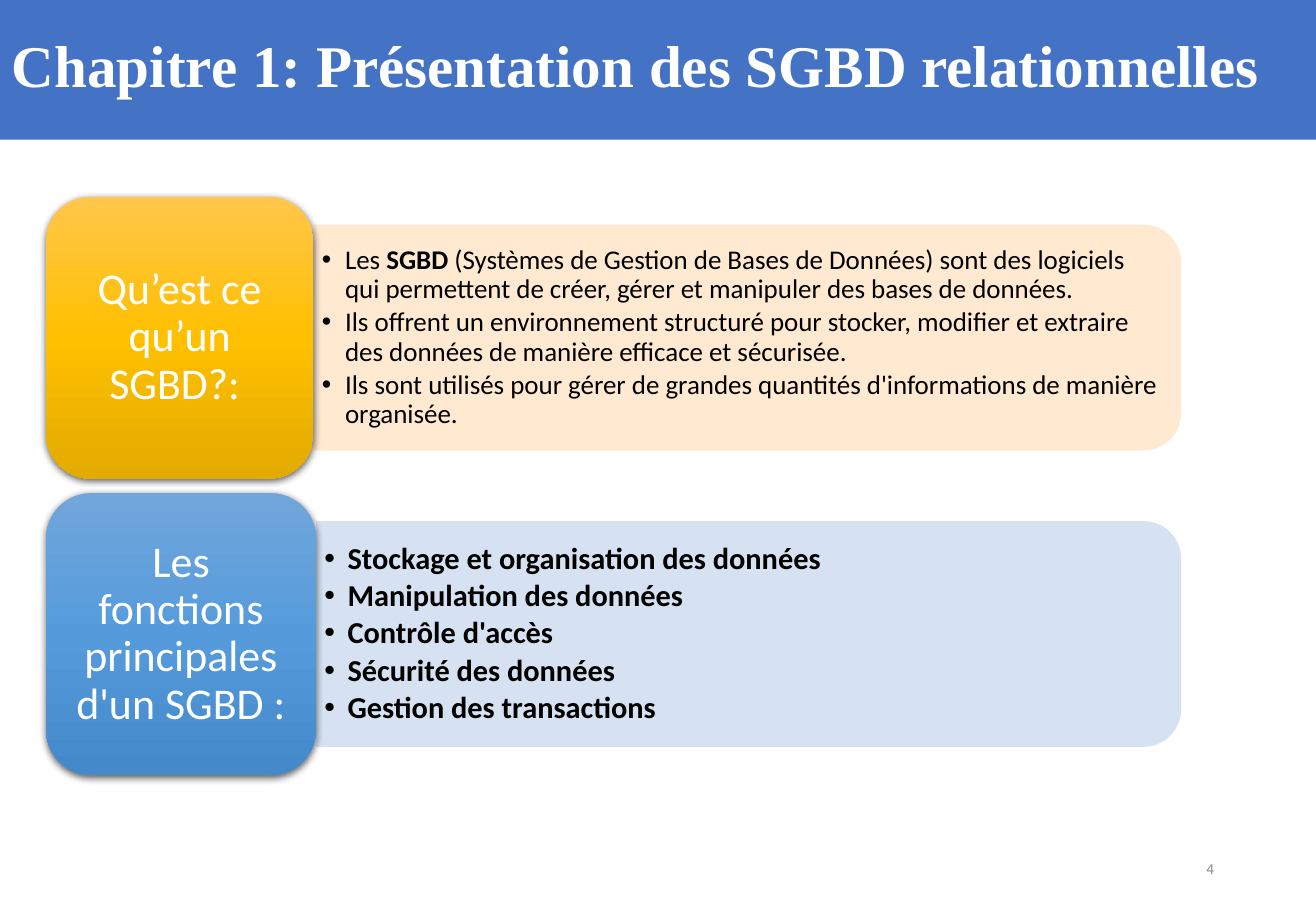
from dataclasses import dataclass

from lxml.etree import SubElement
from pptx import Presentation
from pptx.dml.color import RGBColor
from pptx.enum.shapes import MSO_SHAPE as Shape
from pptx.enum.text import MSO_ANCHOR as Anchor, PP_ALIGN as Align
from pptx.oxml.ns import qn
from pptx.util import Inches, Pt


@dataclass(frozen=True)
class Theme:
    band: str = "4472C4"
    white: str = "FFFFFF"
    black: str = "000000"
    grey: str = "898989"
    gold: tuple = ("FFC64B", "FFC000", "E3AB00")
    blue: tuple = ("71A6DB", "559BDB", "448ACA")
    cream: str = "FFE8CC"
    pale_blue: str = "D2DFF0"
    title_font: str = "Times New Roman"
    body_font: str = "Calibri"
    title_size: int = 35
    tile_size: int = 26
    number_size: int = 9


THEME = Theme()

# Row geometry, in inches
TILE_LEFT, TILE_HEIGHT = 0.38, 2.32
PANEL_RIGHT, PANEL_HEIGHT = 9.72, 1.86
FIRST_CENTRE, ROW_PITCH = 2.78, 2.44

# Each row: tile text, tile width, tile colours, panel colour, text size, bullets
# A bullet is a list of (text, bold) runs
ROWS = [
    ("Qu’est ce qu’un SGBD?: ", 2.2, THEME.gold, THEME.cream, 16, [
        [("Les ", False), ("SGBD", True),
         (" (Systèmes de Gestion de Bases de Données) sont des logiciels qui "
          "permettent de créer, gérer et manipuler des bases de données.", False)],
        [("Ils offrent un environnement structuré pour stocker, modifier et "
          "extraire des données de manière efficace et sécurisée.", False)],
        [("Ils sont utilisés pour gérer de grandes quantités d'informations "
          "de manière organisée.", False)],
    ]),
    ("Les fonctions principales d'un SGBD :", 2.22, THEME.blue, THEME.pale_blue, 18, [
        [("Stockage et organisation des données", True)],
        [("Manipulation des données", True)],
        [("Contrôle d'accès", True)],
        [("Sécurité des données", True)],
        [("Gestion des transactions", True)],
    ]),
]


def add_plain_shape(page, kind, left, top, width, height):
    shape = page.shapes.add_shape(
        kind, Inches(left), Inches(top), Inches(width), Inches(height))
    shape.shadow.inherit = False
    shape.line.fill.background()
    return shape


def fill_solid(shape, colour, alpha=100):
    shape.fill.solid()
    shape.fill.fore_color.rgb = RGBColor.from_string(colour)
    if alpha < 100:
        tint = shape._element.spPr.find(qn("a:solidFill"))[0]
        SubElement(tint, qn("a:alpha"), val=str(alpha * 1000))


def fill_gradient(shape, colours):
    shape.fill.gradient()
    shape.fill.gradient_angle = 270
    stops = shape._element.spPr.find(qn("a:gradFill")).find(qn("a:gsLst"))
    stops.clear()
    for index, colour in enumerate(colours):
        stop = SubElement(stops, qn("a:gs"), pos=str(index * 50000))
        SubElement(stop, qn("a:srgbClr"), val=colour)


def add_shadow(shape):
    effects = shape._element.spPr.find(qn("a:effectLst"))
    shadow = SubElement(effects, qn("a:outerShdw"), blurRad=str(Pt(4.5)),
                        dist=str(Pt(1.5)), dir="5400000", rotWithShape="0")
    colour = SubElement(shadow, qn("a:srgbClr"), val=THEME.black)
    SubElement(colour, qn("a:alpha"), val="63000")


def set_frame(shape, side, edge):
    frame = shape.text_frame
    frame.word_wrap = True
    frame.vertical_anchor = Anchor.MIDDLE
    frame.margin_left = frame.margin_right = Inches(side)
    frame.margin_top = frame.margin_bottom = Inches(edge)
    return frame


def add_span(para, text, size, colour, font=THEME.body_font, bold=False):
    span = para.add_run()
    span.text = text
    span.font.name = font
    span.font.size = Pt(size)
    span.font.bold = bold
    span.font.color.rgb = RGBColor.from_string(colour)


def set_bullet(para):
    props = para._p.get_or_add_pPr()
    props.set("marL", str(Inches(0.19)))
    props.set("indent", str(-Inches(0.19)))
    SubElement(props, qn("a:buFont"), typeface="Arial")
    SubElement(props, qn("a:buChar"), char="•")


def add_title(page, text):
    band = add_plain_shape(page, Shape.RECTANGLE, 0, -0.03, 10.83, 1.18)
    fill_solid(band, THEME.band)
    para = set_frame(band, 0.1, 0.05).paragraphs[0]
    para.alignment = Align.LEFT
    para.line_spacing = 0.9
    add_span(para, text, THEME.title_size, THEME.white, THEME.title_font, True)


def add_panel(page, left, centre, colour):
    # Rounded on top, then turned so that the round corners face right
    length = PANEL_RIGHT - left
    middle = left + length / 2
    panel = add_plain_shape(page, Shape.ROUND_2_SAME_RECTANGLE,
                            middle - PANEL_HEIGHT / 2, centre - length / 2,
                            PANEL_HEIGHT, length)
    panel.rotation = 90
    fill_solid(panel, colour, 90)


def add_bullets(page, left, centre, size, bullets):
    height = 1.68
    box = page.shapes.add_textbox(Inches(left), Inches(centre - height / 2),
                                  Inches(PANEL_RIGHT - 0.1 - left), Inches(height))
    frame = set_frame(box, 0.07, 0.04)
    for index, runs in enumerate(bullets):
        para = frame.add_paragraph() if index else frame.paragraphs[0]
        para.line_spacing = 0.9
        para.space_after = Pt(size * 0.15)
        set_bullet(para)
        for text, bold in runs:
            add_span(para, text, size, THEME.black, bold=bold)


def add_tile(page, centre, width, colours, text):
    tile = add_plain_shape(page, Shape.ROUNDED_RECTANGLE, TILE_LEFT,
                           centre - TILE_HEIGHT / 2, width, TILE_HEIGHT)
    fill_gradient(tile, colours)
    add_shadow(tile)
    para = set_frame(tile, 0.11, 0.05).paragraphs[0]
    para.alignment = Align.CENTER
    para.line_spacing = 0.9
    add_span(para, text, THEME.tile_size, THEME.white)


def add_page_number(page, number):
    box = page.shapes.add_textbox(Inches(7.65), Inches(6.95), Inches(2.44), Inches(0.4))
    para = set_frame(box, 0.1, 0.05).paragraphs[0]
    para.alignment = Align.RIGHT
    add_span(para, number, THEME.number_size, THEME.grey)


def main():
    deck = Presentation()
    deck.slide_width, deck.slide_height = Inches(10.83), Inches(7.5)
    page = deck.slides.add_slide(deck.slide_layouts[6])

    # Heading
    add_title(page, "Chapitre 1: Présentation des SGBD relationnelles")

    # Question tiles with their answers
    for index, (label, width, colours, tint, size, bullets) in enumerate(ROWS):
        centre = FIRST_CENTRE + index * ROW_PITCH
        left = TILE_LEFT + width
        add_panel(page, left, centre, tint)
        add_bullets(page, left, centre, size, bullets)
        add_tile(page, centre, width, colours, label)

    # Footer
    add_page_number(page, "4")
    deck.save("out.pptx")


if __name__ == "__main__":
    main()
